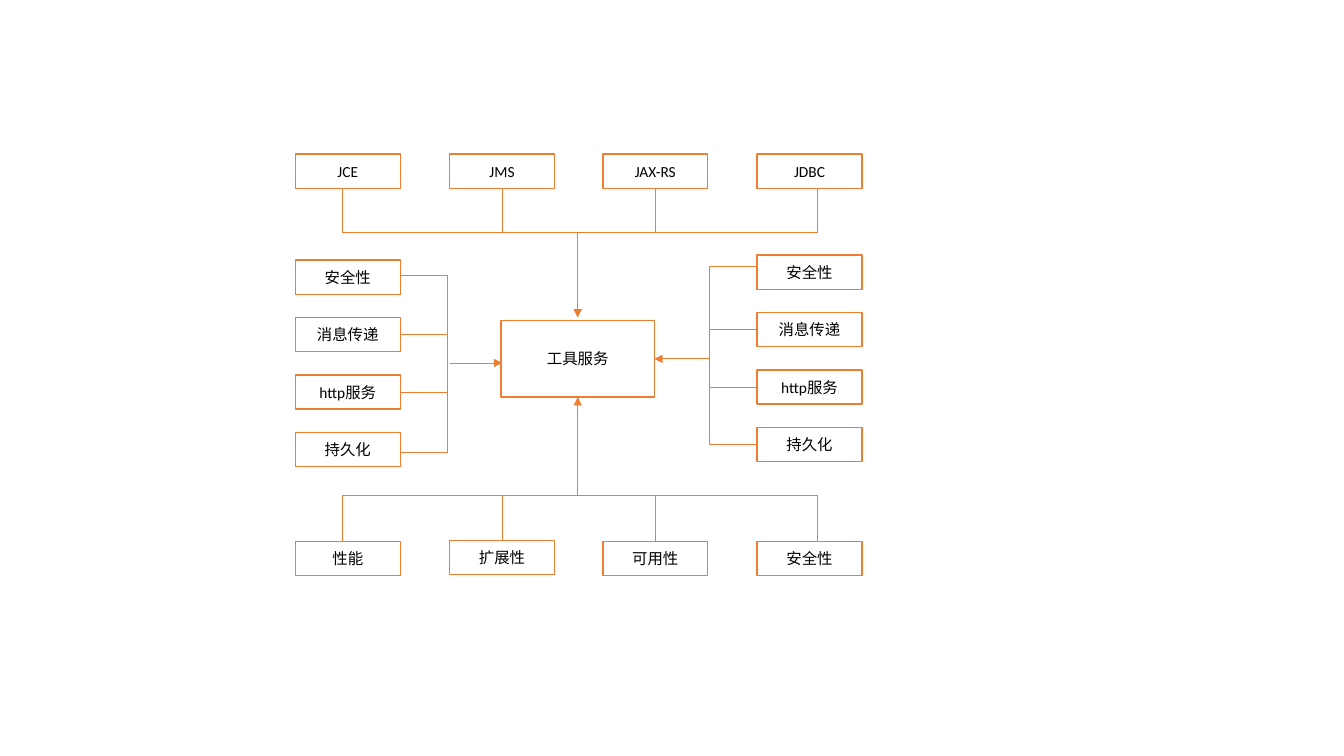
from lxml import etree
from pptx import Presentation
from pptx import util as u
from pptx.dml.color import RGBColor
from pptx.enum import shapes, text
from pptx.oxml.ns import qn

PX = 9144  # 100 px to the inch
ORANGE = RGBColor(0xED, 0x7D, 0x31)
WHITE = RGBColor(0xFF, 0xFF, 0xFF)
BLACK = RGBColor(0, 0, 0)
TOP, LEFT, BOTTOM, RIGHT = range(4)

# Content
SERVICE = "工具服务"
CONCERNS = ["安全性", "消息传递", "http服务", "持久化"]
# labels, tops of the boxes, y of the bus, side of the boxes facing it
ROWS = [
    (["JCE", "JMS", "JAX-RS", "JDBC"], [153] * 4, 231, BOTTOM),
    (["性能", "扩展性", "可用性", "安全性"], [537, 536, 537, 537], 491, TOP),
]
# left of the boxes, first top, x of the bus, stub heights, facing side
COLUMNS = [
    (293, 258, 444, [273, 331, 388, 449], RIGHT),
    (751, 253, 704, [264, 327, 385, 440], LEFT),
]

# Geometry
BOX_W, BOX_H = 104, 34
ROW_LEFTS = [293, 446, 598, 751]
ROW_STUBS = [340, 498, 651, 811]
COLUMN_STEP = 57
CENTER = (497, 318, 152, 76)
CENTER_X, CENTER_Y = 573, 356

deck = Presentation()
deck.slide_width, deck.slide_height = u.Inches(13.33), u.Inches(7.5)
page = deck.slides.add_slide(deck.slide_layouts[6])


def add_box(label, left, top, width=BOX_W, height=BOX_H):
    box = page.shapes.add_shape(
        shapes.MSO_SHAPE.RECTANGLE, *(v * PX for v in (left, top, width, height)))
    box.shadow.inherit = False
    box.fill.solid()
    box.fill.fore_color.rgb = WHITE
    box.line.color.rgb = ORANGE
    box.line.width = u.Pt(1)
    frame = box.text_frame
    frame.word_wrap = True
    frame.vertical_anchor = text.MSO_ANCHOR.MIDDLE
    para = frame.paragraphs[0]
    para.alignment = text.PP_ALIGN.CENTER
    span = para.add_run()
    span.text = label
    span.font.name, span.font.size = "Calibri", u.Pt(11)
    span.font.color.rgb = BLACK
    return box


def add_line(x1, y1, x2, y2, arrow=False):
    line = page.shapes.add_connector(
        shapes.MSO_CONNECTOR.STRAIGHT, *(v * PX for v in (x1, y1, x2, y2)))
    line.line.color.rgb = ORANGE
    line.line.width = u.Pt(0.5)
    if arrow:
        etree.SubElement(line.line._get_or_add_ln(), qn("a:tailEnd"), type="triangle")
    etree.SubElement(line._element.spPr, qn("a:effectLst"))
    return line


def add_stub(box, left, top, side, along, bus):
    """Link a box to its bus, joined where the stub meets the side's middle."""
    vertical = side in (TOP, BOTTOM)
    middle = left + BOX_W // 2 if vertical else top + BOX_H // 2
    joined = abs(middle - along) <= 1
    if joined:
        along = middle
    if vertical:
        stub = add_line(along, top + BOX_H * (side == BOTTOM), along, bus)
    else:
        stub = add_line(left + BOX_W * (side == RIGHT), along, bus, along)
    if joined:
        stub.begin_connect(box, side)
    return along


# Service in the middle
center = add_box(SERVICE, *CENTER)

# Rows above and below
for labels, tops, bus, side in ROWS:
    for label, left, top, along in zip(labels, ROW_LEFTS, tops, ROW_STUBS):
        add_stub(add_box(label, left, top), left, top, side, along, bus)
    add_line(ROW_STUBS[0], bus, ROW_STUBS[-1], bus)

# Columns at both sides
for left, first_top, bus, stubs, side in COLUMNS:
    ends = []
    for i, (label, along) in enumerate(zip(CONCERNS, stubs)):
        top = first_top + i * COLUMN_STEP
        ends.append(add_stub(add_box(label, left, top), left, top, side, along, bus))
    add_line(bus, ends[0], bus, ends[-1])

# Arrows into the service
add_line(CENTER_X, 231, CENTER_X, 315, arrow=True)
add_line(446, 360, 498, 360, arrow=True)
add_line(704, CENTER_Y, 649, CENTER_Y, arrow=True).end_connect(center, RIGHT)
add_line(CENTER_X, 491, CENTER_X, 394, arrow=True).end_connect(center, BOTTOM)

deck.save("out.pptx")
